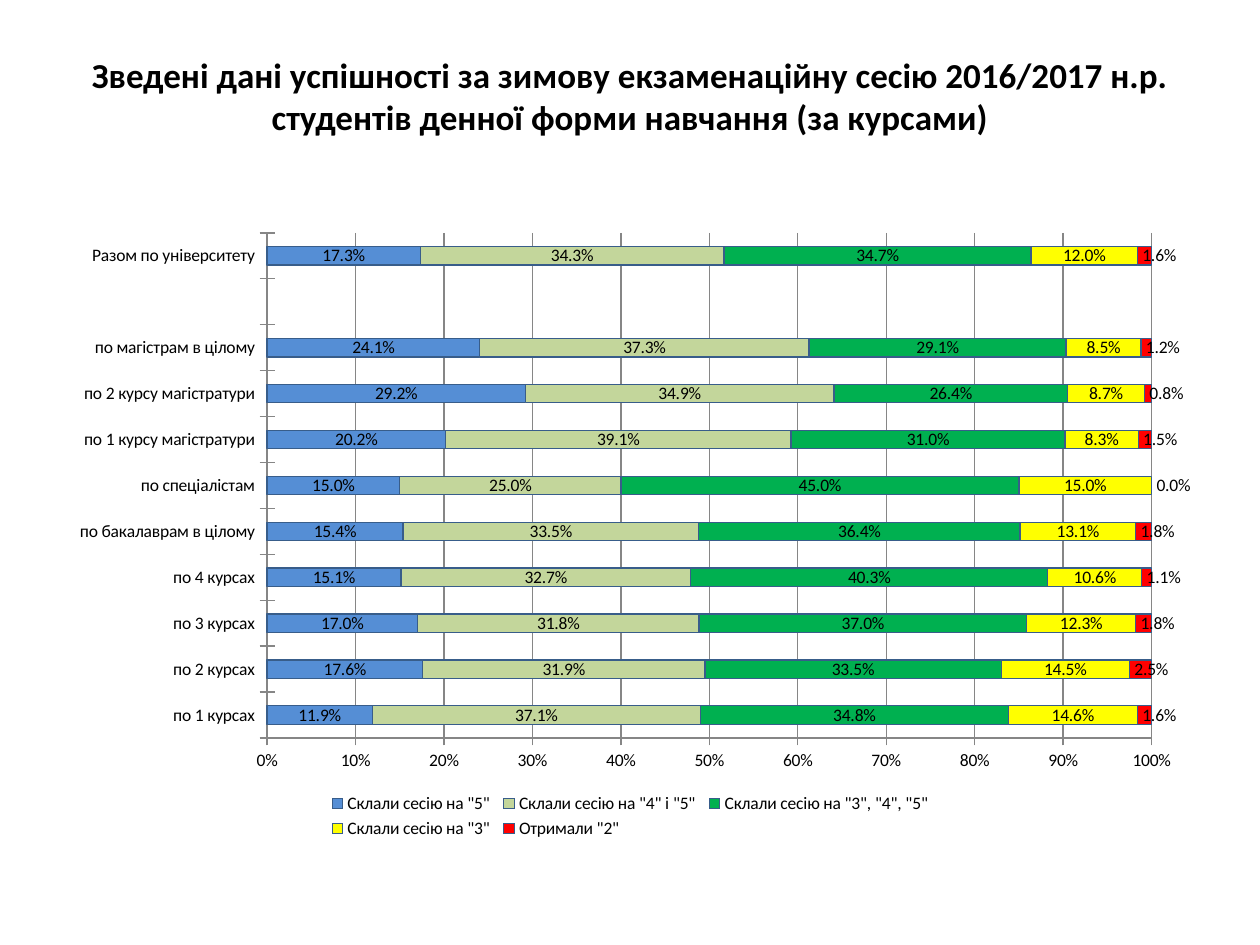
from dataclasses import dataclass

from lxml import etree
from pptx import Presentation
from pptx.chart.data import CategoryChartData
from pptx.dml.color import RGBColor
from pptx.enum.chart import XL_CHART_TYPE, XL_LABEL_POSITION, XL_LEGEND_POSITION, XL_TICK_MARK
from pptx.enum.text import MSO_ANCHOR, PP_ALIGN
from pptx.oxml.ns import qn
from pptx.util import Pt

STACKED_100 = XL_CHART_TYPE.BAR_STACKED_100
LABEL_CENTER = XL_LABEL_POSITION.CENTER
LABEL_BASE = XL_LABEL_POSITION.INSIDE_BASE
LEGEND_BOTTOM = XL_LEGEND_POSITION.BOTTOM
TICK_CROSS = XL_TICK_MARK.CROSS

FONT = "Calibri"
BLACK = RGBColor(0x00, 0x00, 0x00)
BLUE = RGBColor(0x55, 0x8E, 0xD5)
PALE_GREEN = RGBColor(0xC3, 0xD6, 0x9B)
GREEN = RGBColor(0x00, 0xB0, 0x50)
YELLOW = RGBColor(0xFF, 0xFF, 0x00)
RED = RGBColor(0xFF, 0x00, 0x00)
BAR_OUTLINE = RGBColor(0x38, 0x5D, 0x8A)
GRID_GRAY = RGBColor(0x86, 0x86, 0x86)


@dataclass
class GradeGroup:
    name: str
    color: RGBColor
    shares: list
    label_position: XL_LABEL_POSITION = LABEL_CENTER


COURSES = [
    "по 1 курсах", "по 2 курсах", "по 3 курсах", "по 4 курсах",
    "по бакалаврам в цілому", "по спеціалістам",
    "по 1 курсу магістратури", "по 2 курсу магістратури",
    "по магістрам в цілому", "", "Разом по університету",
]
GRADE_GROUPS = [
    GradeGroup('Склали сесію на "5"', BLUE,
               [.119, .176, .17, .151, .154, .15, .202, .292, .241, None, .173]),
    GradeGroup('Склали сесію на "4" і "5"', PALE_GREEN,
               [.371, .319, .318, .327, .335, .25, .391, .349, .373, None, .343]),
    GradeGroup('Склали сесію на "3", "4", "5"', GREEN,
               [.348, .335, .37, .403, .364, .45, .31, .264, .291, None, .347]),
    GradeGroup('Склали сесію на "3"', YELLOW,
               [.146, .145, .123, .106, .131, .15, .083, .087, .085, None, .12]),
    GradeGroup('Отримали "2"', RED,
               [.016, .025, .018, .011, .018, 0, .015, .008, .012, None, .016], LABEL_BASE),
]


def set_font(font, size: float, bold: bool = False) -> None:
    font.name = FONT
    font.size = Pt(size)
    font.bold = bold
    font.color.rgb = BLACK


def set_line(line, color: RGBColor) -> None:
    line.color.rgb = color
    line.width = Pt(0.75)


def place_part(part, index: int, inner: bool, **fractions: float) -> None:
    """Give a chart part a fixed place, in fractions of the chart."""
    for old_layout in part.findall(qn("c:layout")):
        part.remove(old_layout)
    layout = etree.Element(qn("c:layout"))
    part.insert(index, layout)
    manual = etree.SubElement(layout, qn("c:manualLayout"))
    if inner:
        etree.SubElement(manual, qn("c:layoutTarget")).set("val", "inner")
    for mode in ("xMode", "yMode"):
        etree.SubElement(manual, qn(f"c:{mode}")).set("val", "edge")
    for key, value in fractions.items():
        etree.SubElement(manual, qn(f"c:{key}")).set("val", str(value))


def style_group(series, group: GradeGroup) -> None:
    series.format.fill.solid()
    series.format.fill.fore_color.rgb = group.color
    set_line(series.format.line, BAR_OUTLINE)
    labels = series.data_labels
    labels.show_value = True
    labels.number_format = "0.0%"
    labels.number_format_is_linked = False
    labels.position = group.label_position
    set_font(labels.font, 10)


prs = Presentation()
prs.slide_width, prs.slide_height = Pt(720), Pt(540)
slide = prs.slides.add_slide(prs.slide_layouts[5])

# Title
title = slide.shapes.title
title.left, title.top, title.width, title.height = Pt(36), Pt(21.6), Pt(648), Pt(90)
title_frame = title.text_frame
title_frame.text = ("Зведені дані успішності за зимову екзаменаційну сесію 2016/2017 н.р. "
                    "студентів денної форми навчання (за курсами)")
title_frame.vertical_anchor = MSO_ANCHOR.MIDDLE
title_frame.margin_bottom = Pt(27.6)
title_frame.paragraphs[0].alignment = PP_ALIGN.CENTER
set_font(title_frame.paragraphs[0].font, 20, bold=True)

# Chart of grade shares by course
grades = CategoryChartData(number_format="0.0%")
grades.categories = COURSES
for group in GRADE_GROUPS:
    grades.add_series(group.name, group.shares)
chart = slide.shapes.add_chart(
    STACKED_100, Pt(36), Pt(126), Pt(648), Pt(356.4), grades).chart
chart.has_title = False
set_font(chart.font, 10)
bars = chart.plots[0]
bars.gap_width, bars.overlap = 150, 100
bars.vary_by_categories = False
for series, group in zip(bars.series, GRADE_GROUPS):
    style_group(series, group)

# Axes
for axis in (chart.category_axis, chart.value_axis):
    axis.major_tick_mark = TICK_CROSS
    axis.minor_tick_mark = XL_TICK_MARK.NONE
    set_line(axis.format.line, GRID_GRAY)
    set_font(axis.tick_labels.font, 10)
shares_axis = chart.value_axis
shares_axis.minimum_scale, shares_axis.maximum_scale = 0, 1
shares_axis.major_unit = 0.1
shares_axis.tick_labels.number_format = "0%"
shares_axis.tick_labels.number_format_is_linked = False
shares_axis.has_major_gridlines = True
set_line(shares_axis.major_gridlines.format.line, GRID_GRAY)

# Legend and placing
chart.has_legend = True
chart.legend.position = LEGEND_BOTTOM
chart.legend.include_in_layout = False
set_font(chart.legend.font, 10)
chart_root = chart.element
place_part(next(chart_root.iter(qn("c:plotArea"))), 0, True, x=0.18, y=0.02, w=0.78, h=0.81)
place_part(next(chart_root.iter(qn("c:legend"))), 1, False, x=0.23, y=0.91, w=0.54, h=0.09)

prs.save("out.pptx")
